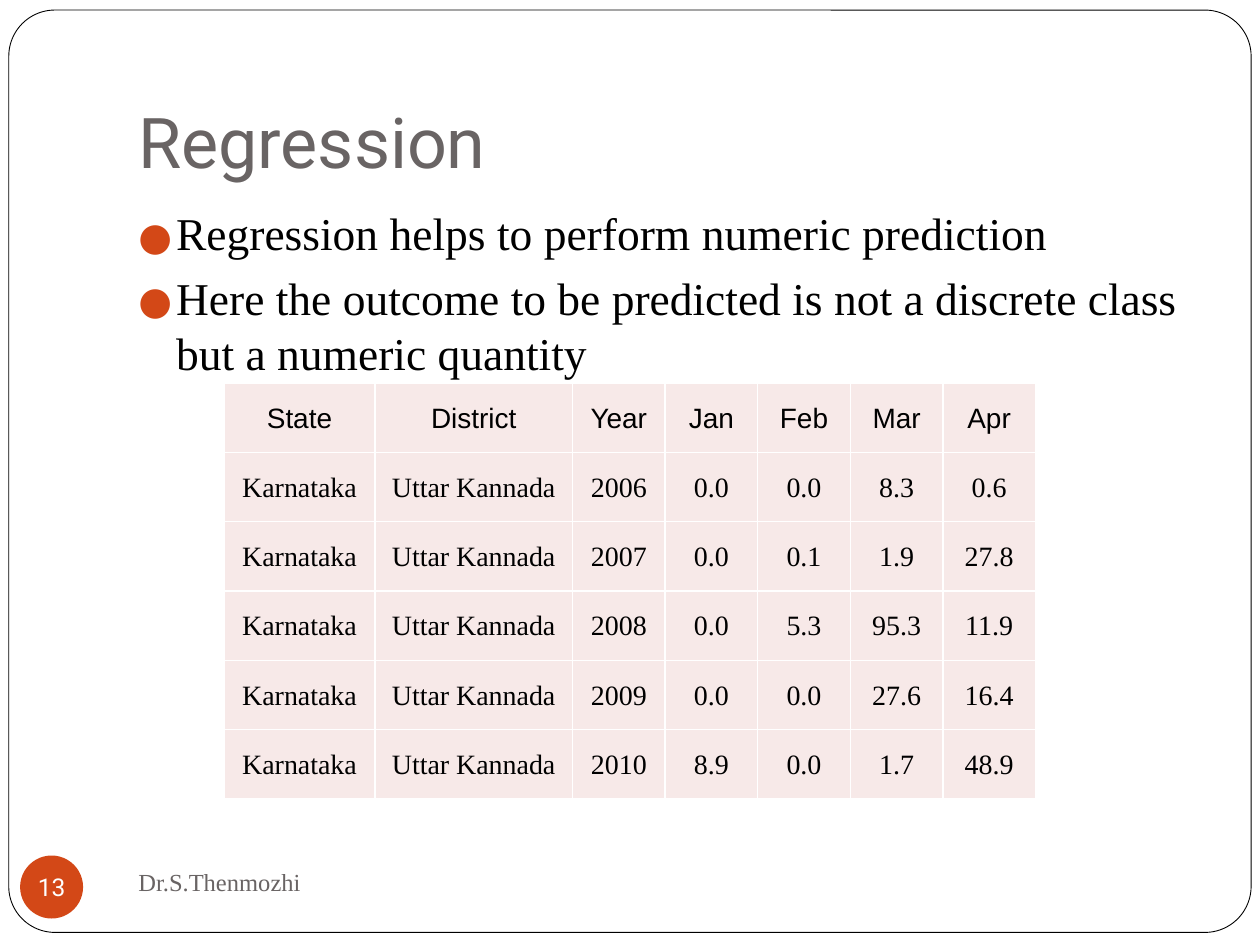
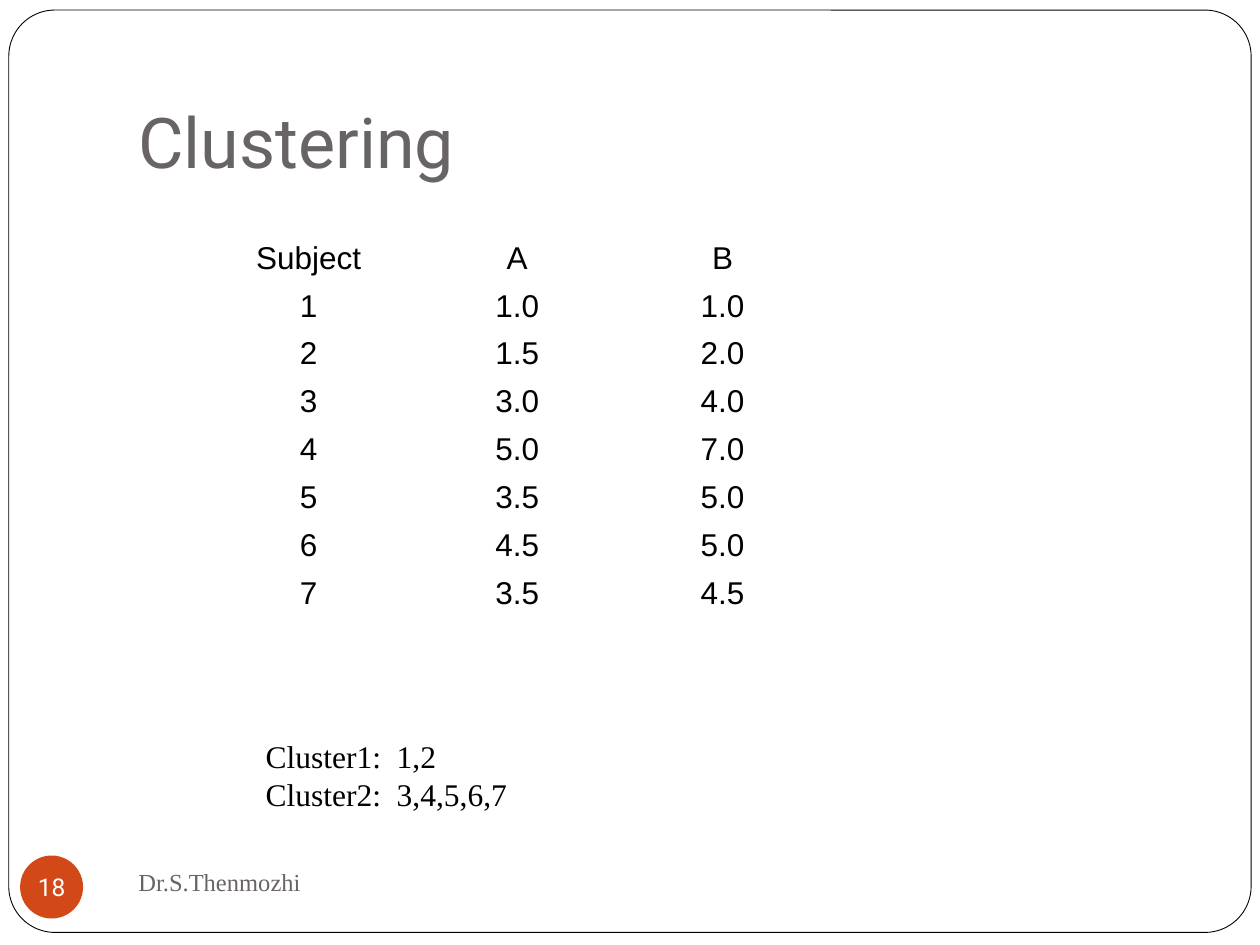
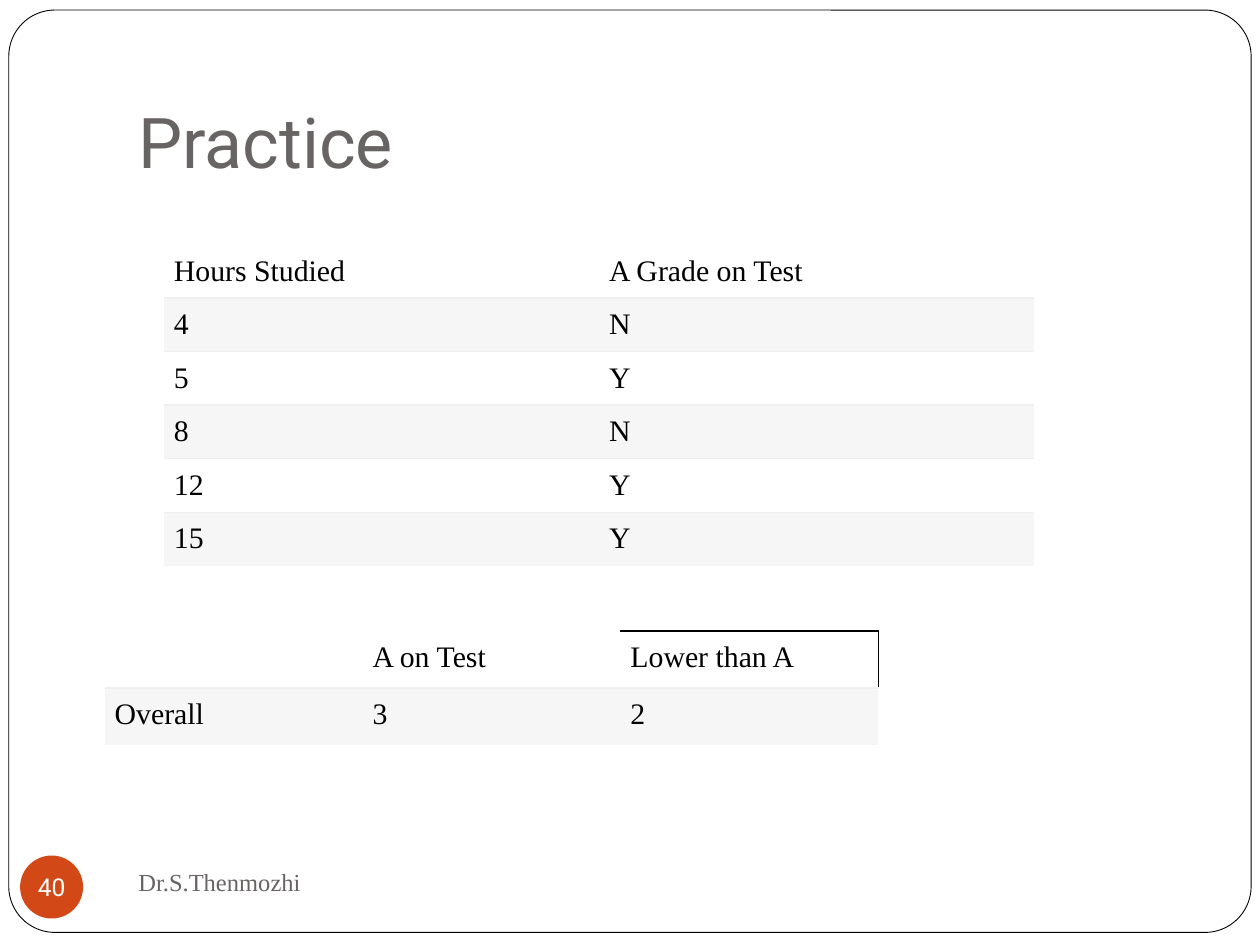
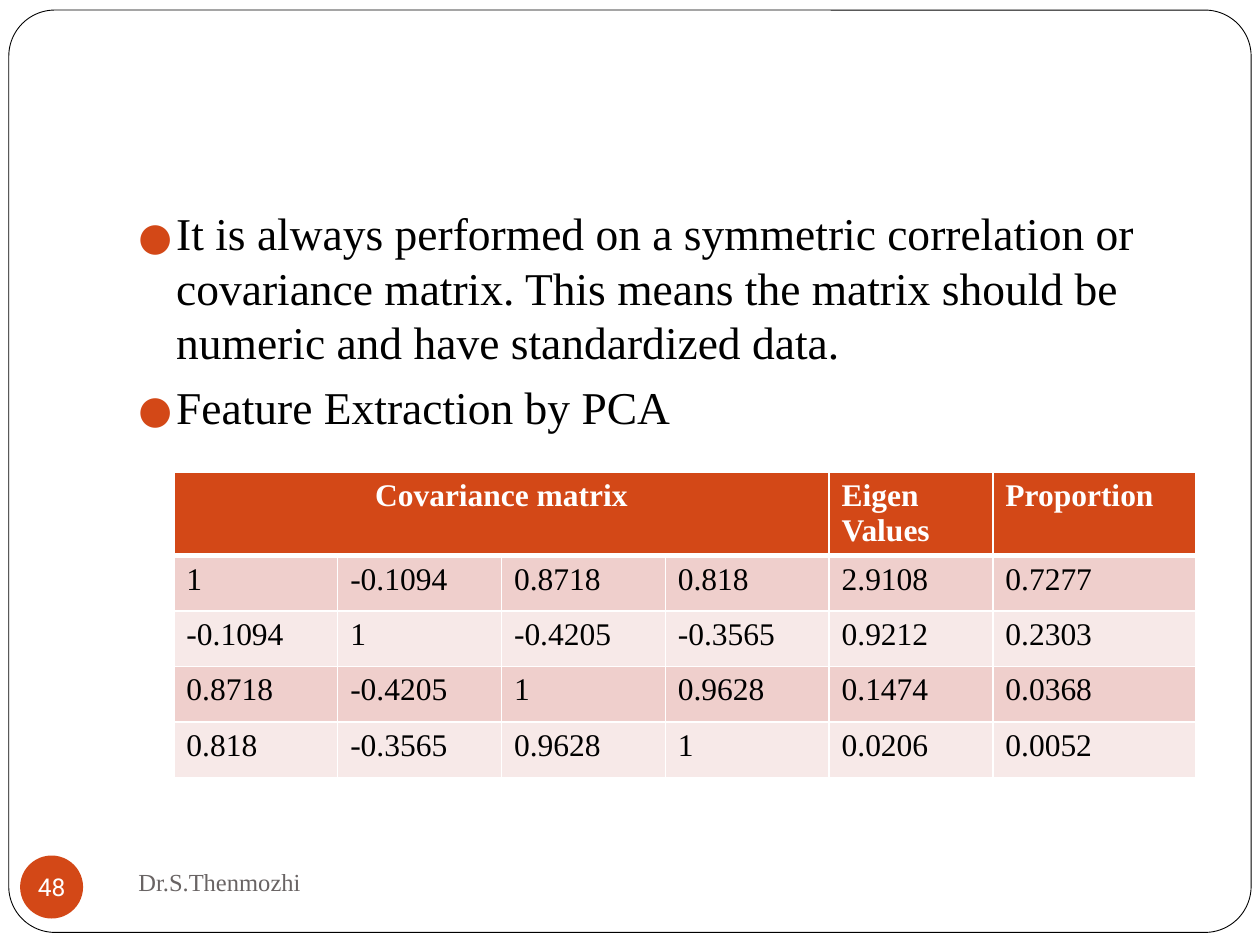
from pptx import Presentation
from pptx.dml.color import RGBColor
from pptx.enum.shapes import MSO_SHAPE as Preset
from pptx.enum.text import MSO_ANCHOR as Anchor, PP_ALIGN as Align
from pptx.oxml.ns import qn
from pptx.util import Inches, Pt
from lxml.etree import SubElement

BLACK, WHITE, GREY, ORANGE = "000000", "FFFFFF", "696464", "D34817"
PINK, ROSE, MIST, HAIRLINE = "F7E9E8", "EFCFCC", "F6F6F6", "EFEFEF"
SERIF, SANS, DISPLAY = "Times New Roman", "Arial", "Roboto"
COLUMNS, ROWS = 100, 75
PLAIN_TABLE = "{2D5ABB26-0587-4C30-8999-92F81FD0307C}"
SIDES = {"left": "a:lnL", "right": "a:lnR", "top": "a:lnT", "bottom": "a:lnB"}


def grid(*cells):
    """Turn grid columns or rows, a tenth of an inch each, into lengths."""
    return [Inches(cell / 10) for cell in cells]


def colour(value):
    """Return the colour for a hex string."""
    return RGBColor.from_string(value)


def write(para, text, size=18, font=SERIF, ink=BLACK, bold=False, align=Align.LEFT):
    """Add formatted text to a paragraph."""
    para.alignment = align
    span = para.add_run()
    span.text = text
    span.font.size, span.font.name, span.font.bold = Pt(size), font, bold
    span.font.color.rgb = colour(ink)


def add_bullet(para):
    """Give a paragraph a hanging orange bullet."""
    para.space_before, para.line_spacing = Pt(5.8), 1.0
    props = para._p.get_or_add_pPr()
    props.set("marL", str(Inches(0.3)))
    props.set("indent", str(-Inches(0.3)))
    SubElement(SubElement(props, qn("a:buClr")), qn("a:srgbClr"), val=ORANGE)
    SubElement(props, qn("a:buSzPct"), val="85000")
    SubElement(props, qn("a:buFont"), typeface="Noto Sans Symbols")
    SubElement(props, qn("a:buChar"), char="●")


def add_text(page, place, lines, anchor=Anchor.TOP, bottom=0.5, bullets=False, **style):
    """Add a wrapping text box with one paragraph per line."""
    frame = page.shapes.add_textbox(*grid(*place)).text_frame
    frame.word_wrap, frame.vertical_anchor = True, anchor
    frame.margin_bottom, = grid(bottom)
    for index, line in enumerate(lines):
        para = frame.add_paragraph() if index else frame.paragraphs[0]
        write(para, line, **style)
        if bullets:
            add_bullet(para)


def add_preset(page, preset, place, fill, line=None):
    """Add a flat filled preset shape."""
    box = page.shapes.add_shape(preset, *grid(*place))
    box.shadow.inherit = False
    box.fill.solid()
    box.fill.fore_color.rgb = colour(fill)
    if line:
        box.line.color.rgb, box.line.width = colour(line), Pt(0.5)
    else:
        box.line.fill.background()
    return box


def add_page(deck, number, title=None):
    """Add a page with the frame, title, footer and number badge."""
    page = deck.slides.add_slide(deck.slide_layouts[6])
    frame = add_preset(page, Preset.ROUNDED_RECTANGLE, (0.7, 0.8, 98.6, 73.2), WHITE, BLACK)
    frame.adjustments[0] = 0.05
    if title:
        add_text(page, (10, 3, 85, 12.5), [title], Anchor.BOTTOM, bottom=1,
                 size=40, font=DISPLAY, ink=GREY)
    add_text(page, (10, 67.5, 43.3, 5), ["Dr.S.Thenmozhi"], Anchor.MIDDLE, size=14, ink=GREY)
    badge = add_preset(page, Preset.OVAL, (1.6, 67.9, 5, 5), ORANGE).text_frame
    badge.word_wrap, badge.vertical_anchor = False, Anchor.MIDDLE
    badge.margin_left = badge.margin_right = badge.margin_top = badge.margin_bottom = 0
    write(badge.paragraphs[0], str(number), 14, DISPLAY, WHITE, align=Align.CENTER)
    return page


def add_body(page, lines):
    """Add the bulleted body text."""
    add_text(page, (10, 15.8, 85, 50), lines, bullets=True, size=26)


def set_edges(cell, **edges):
    """Draw cell borders given as side=(colour, points)."""
    props = cell._tc.get_or_add_tcPr()
    for side, tag in SIDES.items():
        if side in edges:
            ink, points = edges[side]
            line = SubElement(props, qn(tag), w=str(Pt(points)))
            SubElement(SubElement(line, qn("a:solidFill")), qn("a:srgbClr"), val=ink)


def white_grid(row, last):
    """Return white borders on every side, thin by default."""
    return dict.fromkeys(SIDES, (WHITE, 1))


def header_grid(row, last):
    """Return white borders with a thick rule below the header."""
    heavy = {0: {"bottom": (WHITE, 3)}, 1: {"top": (WHITE, 3)}}
    return white_grid(row, last) | heavy.get(row, {})


def hairlines(row, last):
    """Return pale rules between neighbouring rows."""
    inner = {"top": row > 0, "bottom": row < last}
    return {side: (HAIRLINE, 0.75) for side, shown in inner.items() if shown}


def no_edges(row, last):
    """Return no borders."""
    return {}


def add_table(page, left, top, widths, heights, rows, fills, edges=no_edges,
              anchor=Anchor.TOP, margins=(1, 0.5, 1, 0.1), header=None, special=None, **style):
    """Add a table; fills lists the header fill, then the fills that alternate."""
    place = grid(left, top, sum(widths), sum(heights))
    table = page.shapes.add_table(len(rows), len(widths), *place).table
    table._tbl.tblPr.find(qn("a:tableStyleId")).text = PLAIN_TABLE
    table.horz_banding = False
    for column, width in zip(table.columns, grid(*widths)):
        column.width = width
    for row, height in zip(table.rows, grid(*heights)):
        row.height = height
    for r, texts in enumerate(rows):
        look = style | (header or {}) if r == 0 else style
        fill = fills[1 + (r - 1) % (len(fills) - 1)] if r else fills[0]
        for c, text in enumerate(texts):
            cell = table.cell(r, c)
            cell.vertical_anchor = anchor
            (cell.margin_left, cell.margin_top,
             cell.margin_right, cell.margin_bottom) = grid(*margins)
            set_edges(cell, **edges(r, len(rows) - 1) | (special or {}).get((r, c), {}))
            cell.fill.solid()
            cell.fill.fore_color.rgb = colour(fill)
            if text:
                write(cell.text_frame.paragraphs[0], text, **look)
    return table


def regression(deck):
    """Build the regression page."""
    page = add_page(deck, 13, "Regression")
    add_body(page, ["Regression helps to perform numeric prediction",
                    "Here the outcome to be predicted is not a discrete class "
                    "but a numeric quantity"])
    rainfall = {"2006": "0.0 0.0 8.3 0.6", "2007": "0.0 0.1 1.9 27.8",
                "2008": "0.0 5.3 95.3 11.9", "2009": "0.0 0.0 27.6 16.4",
                "2010": "8.9 0.0 1.7 48.9"}
    rows = ["State District Year Jan Feb Mar Apr".split()]
    rows += [["Karnataka", "Uttar Kannada", year, *months.split()]
             for year, months in rainfall.items()]
    add_table(page, 17.8, 30.4, [11.95, 15.7] + [7.35] * 5, [5.5] * 6, rows, [PINK, PINK],
              white_grid, Anchor.MIDDLE, (0.1, 0.1, 0.1, 0), header={"font": SANS},
              size=16, align=Align.CENTER)


def clustering(deck):
    """Build the clustering page."""
    page = add_page(deck, 18, "Clustering")
    points = ["1.0 1.0", "1.5 2.0", "3.0 4.0", "5.0 7.0", "3.5 5.0", "4.5 5.0", "3.5 4.5"]
    rows = [["Subject", "A", "B"]]
    rows += [[str(subject), *pair.split()] for subject, pair in enumerate(points, 1)]
    add_table(page, 16.1, 18.6, [16.8, 16.3, 16.3], [3.8] * 8, rows, [WHITE, WHITE],
              anchor=Anchor.MIDDLE, margins=(1, 0.3, 1, 0.3), font=SANS, align=Align.CENTER)
    add_text(page, (20.1, 58, 37.8, 7.1), ["Cluster1:  1,2", "Cluster2:  3,4,5,6,7"])


def practice(deck):
    """Build the practice page."""
    page = add_page(deck, 40, "Practice")
    look = {"edges": hairlines, "margins": (0.8, 0.8, 0.8, 0.4), "size": 17}
    grades = [["Hours Studied", "A Grade on Test"], ["4", "N"], ["5", "Y"],
              ["8", "N"], ["12", "Y"], ["15", "Y"]]
    add_table(page, 13, 19.4, [34.55] * 2, [4.25] * 6, grades, [WHITE, MIST, WHITE], **look)
    totals = [["", "A on Test", "Lower than A"], ["Overall", "3", "2"]]
    corner = {(0, 2): {"top": (BLACK, 1), "right": (BLACK, 1)}}
    add_table(page, 8.3, 50.1, [20.47] * 3, [4.5] * 2, totals, [WHITE, MIST],
              special=corner, **look)


def extraction(deck):
    """Build the feature extraction page."""
    page = add_page(deck, 48)
    add_body(page, ["It is always performed on a symmetric correlation or covariance matrix. "
                    "This means the matrix should be numeric and have standardized data.",
                    "Feature Extraction by PCA"])
    values = ["1 -0.1094 0.8718 0.818 2.9108 0.7277",
              "-0.1094 1 -0.4205 -0.3565 0.9212 0.2303",
              "0.8718 -0.4205 1 0.9628 0.1474 0.0368",
              "0.818 -0.3565 0.9628 1 0.0206 0.0052"]
    rows = [["Covariance matrix", "", "", "", "Eigen Values", "Proportion"]]
    rows += [line.split() for line in values]
    table = add_table(page, 13.8, 37.5, [13] * 5 + [16.1], [6.5] + [4.4] * 4, rows,
                      [ORANGE, ROSE, PINK], header_grid,
                      header={"ink": WHITE, "bold": True})
    table.cell(0, 0).merge(table.cell(0, 3))
    table.cell(0, 0).text_frame.paragraphs[0].alignment = Align.CENTER


def main():
    """Build and save the deck."""
    deck = Presentation()
    deck.slide_width, deck.slide_height = grid(COLUMNS, ROWS)
    for build in (regression, clustering, practice, extraction):
        build(deck)
    deck.save("out.pptx")


if __name__ == "__main__":
    main()
